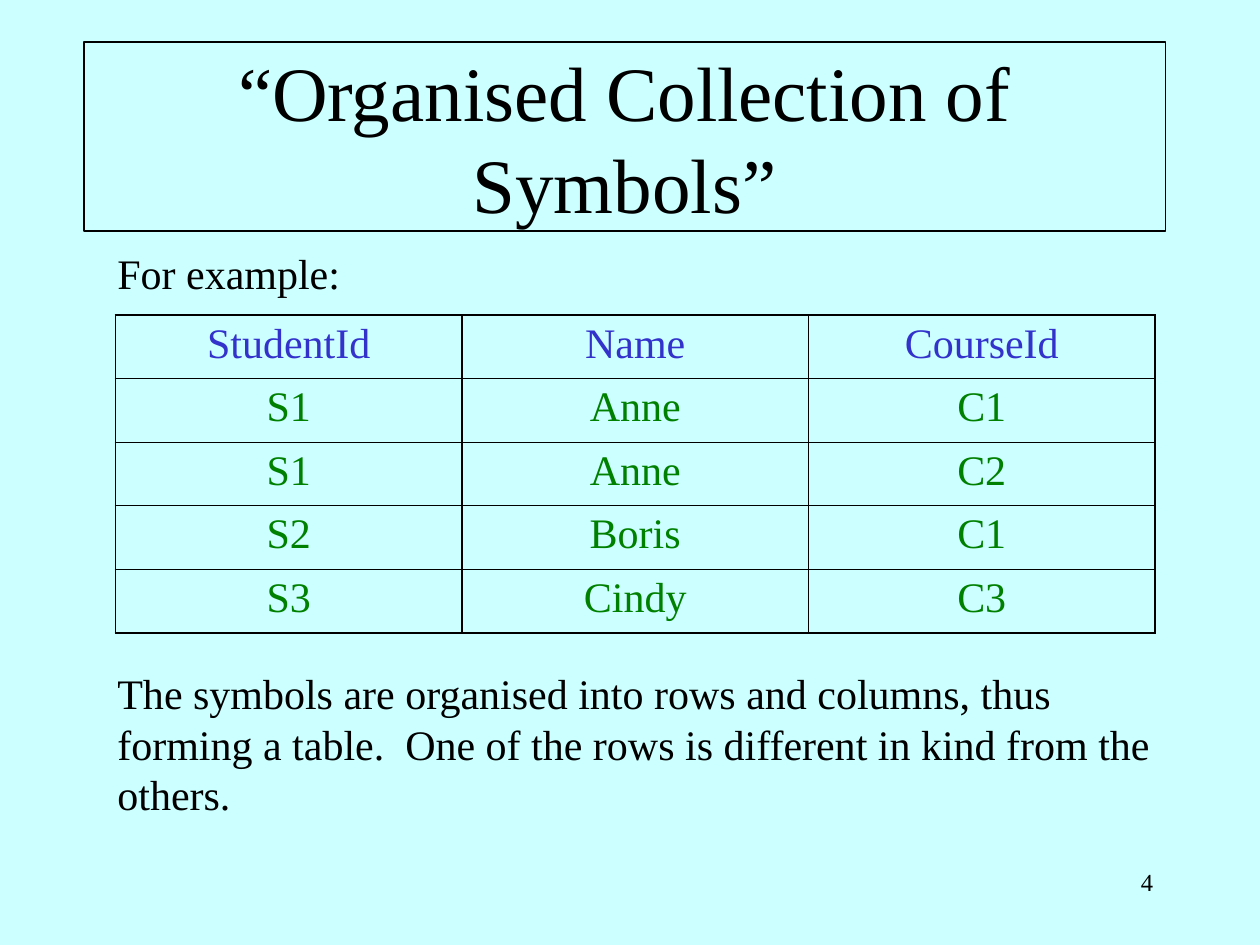
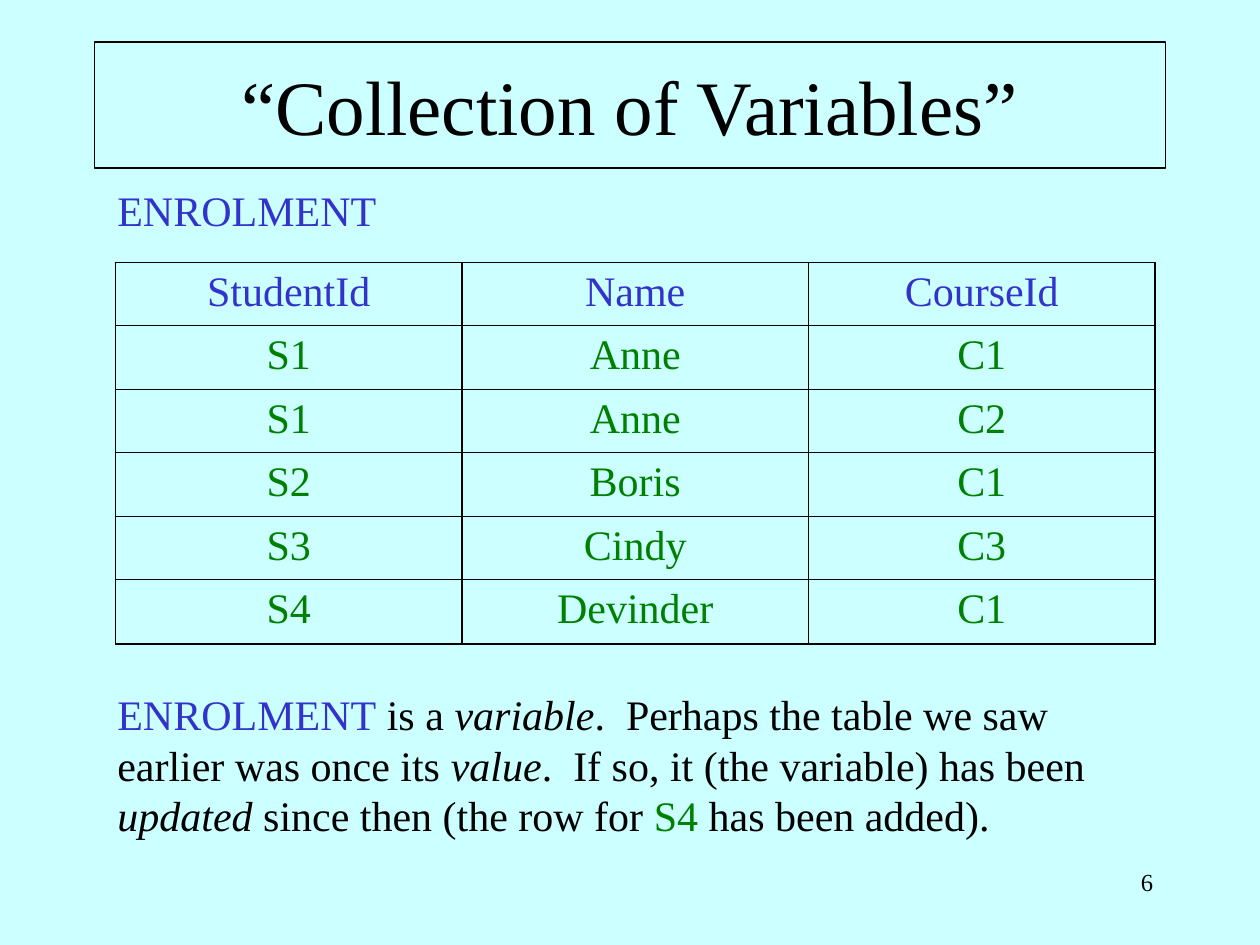
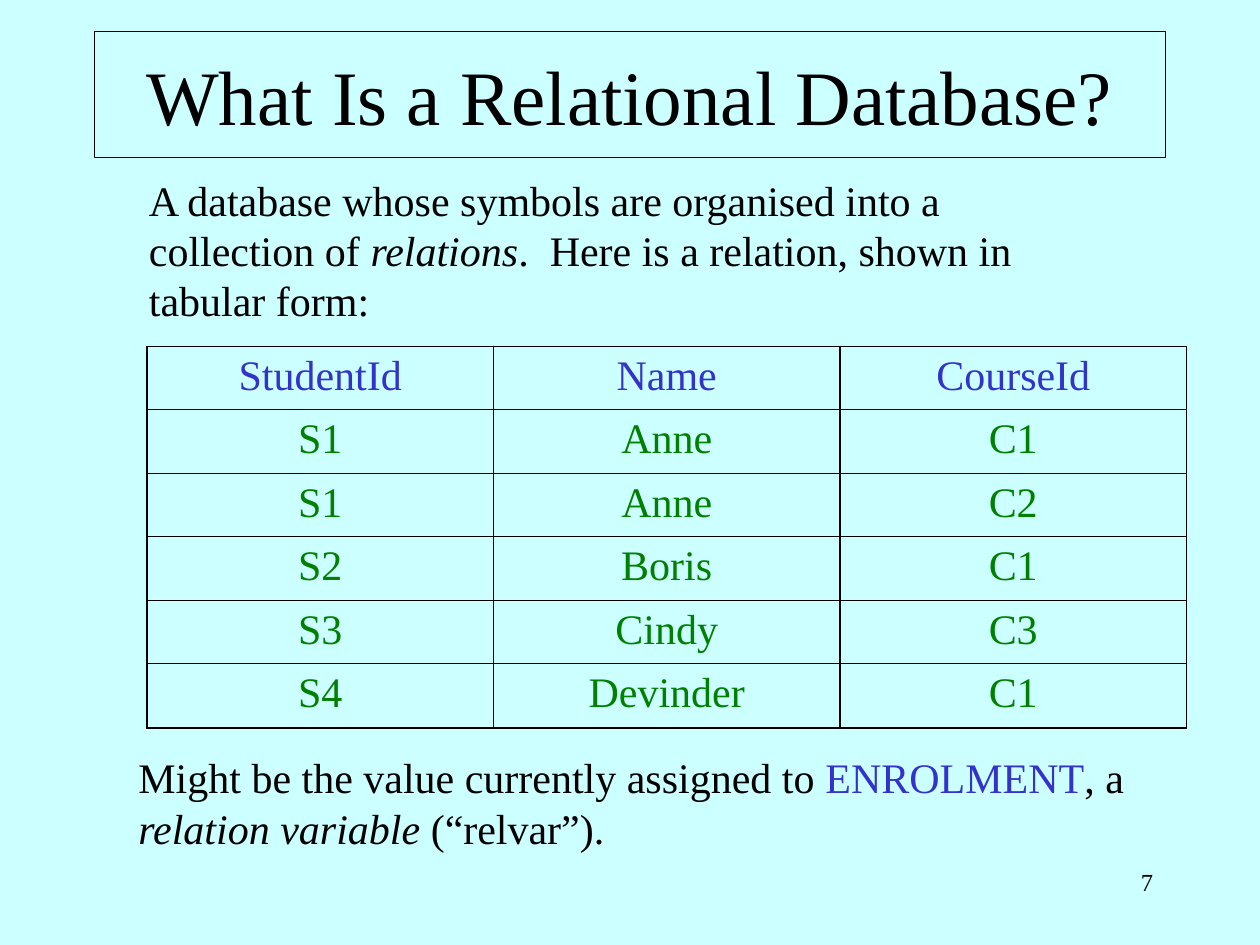
from dataclasses import dataclass
from typing import NamedTuple

from lxml.etree import SubElement
from pptx import Presentation
from pptx.dml.color import RGBColor as RGB
from pptx.enum.shapes import MSO_SHAPE as Shp
from pptx.enum.text import MSO_ANCHOR as Anchor, MSO_AUTO_SIZE as Fit, PP_ALIGN as Align
from pptx.oxml.ns import qn
from pptx.util import Emu, Pt

EMU_PER_PX = 7620


@dataclass(frozen=True)
class Theme:
    font: str = "Times New Roman"
    paper: str = "CCFFFF"
    ink: str = "000000"
    name: str = "3333CC"
    value: str = "008000"
    title: int = 44
    body: int = 24
    number: int = 14
    frame: float = 0.75
    thin: float = 0.45
    thick: float = 1.08


T = Theme()


class Box(NamedTuple):
    x: int
    y: int
    w: int
    h: int


class Run(NamedTuple):
    text: str
    color: str = T.ink
    italic: bool = False


class Note(NamedTuple):
    box: Box
    runs: list[Run]


class Grid(NamedTuple):
    box: Box
    rows: list[tuple[str, ...]]
    thick_rules: set[int]


class Page(NamedTuple):
    number: int
    title: str
    title_box: Box
    grid: Grid
    notes: list[Note]


def px(n: int) -> Emu:
    return Emu(n * EMU_PER_PX)


def emu(box: Box) -> list[Emu]:
    return [px(n) for n in box]


def write(tf, runs: list[Run], size: int, align=Align.LEFT) -> None:
    p = tf.paragraphs[0]
    p.alignment = align
    for run in runs:
        r = p.add_run()
        r.text = run.text
        r.font.name = T.font
        r.font.size = Pt(size)
        r.font.italic = run.italic
        r.font.color.rgb = RGB.from_string(run.color)


def add_title(s, text: str, box: Box) -> None:
    sp = s.shapes.add_shape(Shp.RECTANGLE, *emu(box))
    sp.shadow.inherit = False
    sp.fill.background()
    sp.line.color.rgb = RGB.from_string(T.ink)
    sp.line.width = Pt(T.frame)
    tf = sp.text_frame
    tf.word_wrap = True
    tf.vertical_anchor = Anchor.MIDDLE
    write(tf, [Run(text)], T.title, Align.CENTER)


def add_note(s, note: Note) -> None:
    tf = s.shapes.add_textbox(*emu(note.box)).text_frame
    tf.word_wrap = True
    tf.auto_size = Fit.SHAPE_TO_FIT_TEXT
    write(tf, note.runs, T.body)


def add_number(s, number: int) -> None:
    tf = s.shapes.add_textbox(*emu(Box(860, 820, 250, 60))).text_frame
    tf.word_wrap = True
    write(tf, [Run(str(number))], T.number, Align.RIGHT)


def set_border(cell, side: str, width: float) -> None:
    ln = SubElement(cell._tc.get_or_add_tcPr(), qn(f"a:ln{side}"), w=str(Pt(width)))
    fill = SubElement(ln, qn("a:solidFill"))
    SubElement(fill, qn("a:srgbClr"), val=T.ink)


def add_grid(s, grid: Grid) -> None:
    n_rows, n_cols = len(grid.rows), len(grid.rows[0])
    table = s.shapes.add_table(n_rows, n_cols, *emu(grid.box)).table
    table.first_row = table.horz_banding = False
    for col in table.columns:
        col.width = px(grid.box.w // n_cols)

    def rule(i: int) -> float:
        return T.thick if i in grid.thick_rules | {0, n_rows} else T.thin

    edges = [grid.box.h * i // n_rows for i in range(n_rows + 1)]
    for i, texts in enumerate(grid.rows):
        table.rows[i].height = px(edges[i + 1] - edges[i])
        color = T.value if i else T.name
        widths = {"L": T.thick, "R": T.thick, "T": rule(i), "B": rule(i + 1)}
        for j, text in enumerate(texts):
            cell = table.cell(i, j)
            for side, width in widths.items():
                set_border(cell, side, width)
            cell.fill.background()
            write(cell.text_frame, [Run(text, color)], T.body, Align.CENTER)


def add_page(prs, page: Page) -> None:
    s = prs.slides.add_slide(prs.slide_layouts[6])
    s.background.fill.solid()
    s.background.fill.fore_color.rgb = RGB.from_string(T.paper)
    add_title(s, page.title, page.title_box)
    add_grid(s, page.grid)
    for note in page.notes:
        add_note(s, note)
    add_number(s, page.number)


FIRST_ROWS = [
    ("StudentId", "Name", "CourseId"),
    ("S1", "Anne", "C1"),
    ("S1", "Anne", "C2"),
    ("S2", "Boris", "C1"),
    ("S3", "Cindy", "C3"),
]
UPDATED_ROWS = FIRST_ROWS + [("S4", "Devinder", "C1")]
ENROLMENT = Run("ENROLMENT", T.name)

PAGES = [
    Page(
        4, "“Organised Collection of Symbols”", Box(80, 40, 1030, 180),
        Grid(Box(110, 300, 990, 303), FIRST_ROWS, set()),
        [
            Note(Box(100, 230, 250, 60), [Run("For example:")]),
            Note(Box(100, 630, 1022, 156), [
                Run("The symbols are organised into rows and columns, thus forming a table.  "
                    "One of the rows is different in kind from the others."),
            ]),
        ],
    ),
    Page(
        6, "“Collection of Variables”", Box(90, 40, 1020, 120),
        Grid(Box(110, 250, 990, 363), UPDATED_ROWS, set()),
        [
            Note(Box(100, 650, 1022, 156), [
                ENROLMENT,
                Run(" is a "),
                Run("variable", italic=True),
                Run(".  Perhaps the table we saw earlier was once its "),
                Run("value", italic=True),
                Run(".  If so, it (the variable) has been "),
                Run("updated", italic=True),
                Run(" since then (the row for "),
                Run("S4", T.value),
                Run(" has been added)."),
            ]),
            Note(Box(100, 170, 290, 60), [ENROLMENT]),
        ],
    ),
    Page(
        7, "What Is a Relational Database?", Box(90, 30, 1020, 120),
        Grid(Box(140, 330, 990, 363), UPDATED_ROWS, {1}),
        [
            Note(Box(130, 160, 920, 156), [
                Run("A database whose symbols are organised into a collection of "),
                Run("relations", italic=True),
                Run(".  Here is a relation, shown in tabular form:"),
            ]),
            Note(Box(120, 710, 980, 108), [
                Run("Might be the value currently assigned to "),
                ENROLMENT,
                Run(", a "),
                Run("relation variable", italic=True),
                Run(" (“relvar”)."),
            ]),
        ],
    ),
]


def main() -> None:
    prs = Presentation()
    prs.slide_width, prs.slide_height = px(1200), px(900)
    for page in PAGES:
        add_page(prs, page)
    prs.save("out.pptx")


if __name__ == "__main__":
    main()
